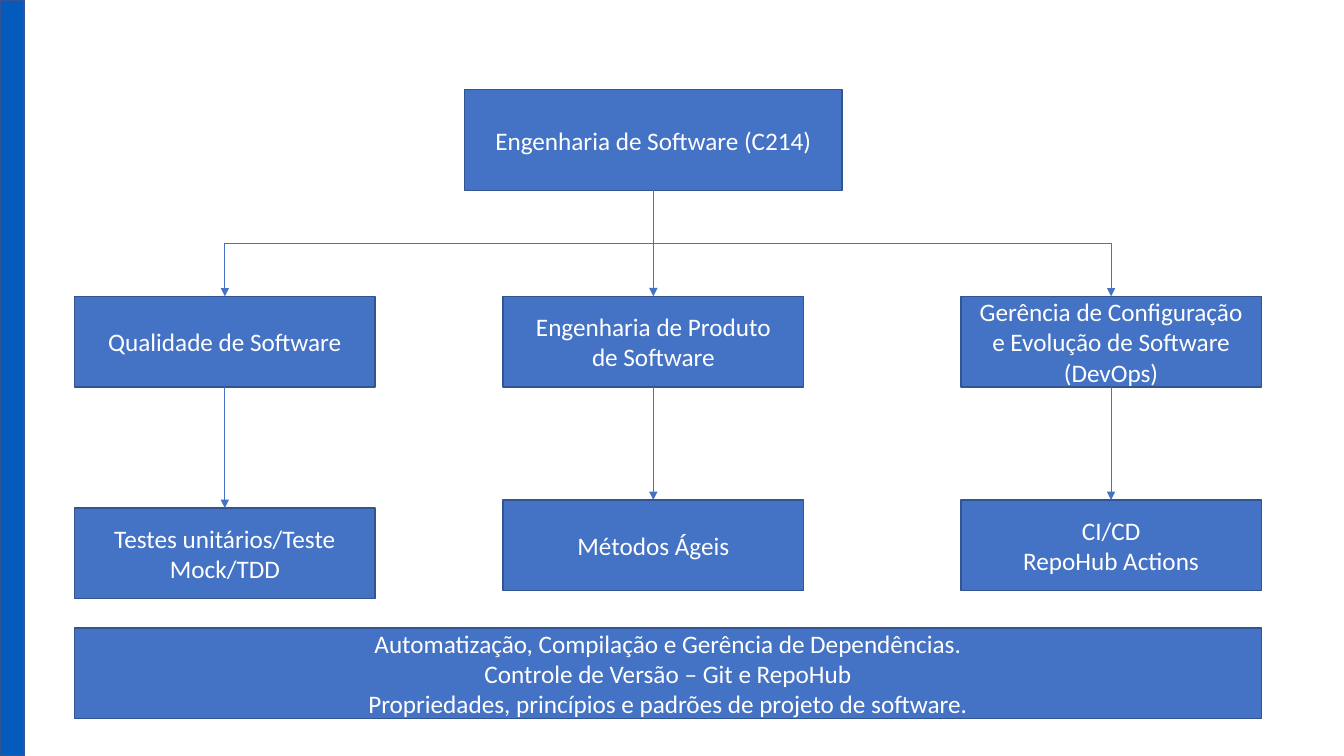
from lxml import etree
from pptx import Presentation
from pptx.dml.color import RGBColor
from pptx.enum.shapes import MSO_CONNECTOR as Link, MSO_SHAPE as Preset
from pptx.enum.text import MSO_ANCHOR as Anchor, PP_ALIGN as Align
from pptx.oxml.ns import qn
from pptx.util import Inches, Pt

BAR_BLUE = RGBColor(0x04, 0x5A, 0xBD)
BOX_BLUE = RGBColor(0x44, 0x72, 0xC4)
EDGE_BLUE = RGBColor(0x32, 0x54, 0x91)
WHITE = RGBColor(0xFF, 0xFF, 0xFF)

ROOT_BOX = (4.61, 0.89, 3.74, 1)
BAND_BOX = (0.74, 6.23, 11.77, 0.9)
AREA_WIDTH, AREA_HEIGHT, AREA_TOP = 2.98, 0.9, 2.94

# Left edge, area lines, top of the topic box, topic lines
BRANCHES = [
    (0.74, ["Qualidade de Software"],
     5.04, ["Testes unitários/Teste Mock/TDD"]),
    (4.99, ["Engenharia de Produto", "de Software"],
     4.96, ["Métodos Ágeis"]),
    (9.53, ["Gerência de Configuração e Evolução de Software (DevOps)"],
     4.96, ["CI/CD", "RepoHub Actions"]),
]
BAND_LINES = [
    "Automatização, Compilação e Gerência de Dependências.",
    "Controle de Versão – Git e RepoHub",
    "Propriedades, princípios e padrões de projeto de software.",
]


def add_box(page, box, fill, lines=()):
    """Outlined rectangle with centred lines of text."""
    shape = page.shapes.add_shape(Preset.RECTANGLE, *map(Inches, box))
    shape.shadow.inherit = False
    shape.fill.solid()
    shape.fill.fore_color.rgb = fill
    shape.line.color.rgb = EDGE_BLUE
    shape.line.width = Pt(1)
    frame = shape.text_frame
    frame.word_wrap = True
    frame.vertical_anchor = Anchor.MIDDLE
    para = frame.paragraphs[0]
    para.alignment = Align.CENTER
    for index, line in enumerate(lines):
        if index:
            para.add_line_break()
        span = para.add_run()
        span.text = line
        span.font.name = "Calibri"
        span.font.size = Pt(18)
        span.font.color.rgb = WHITE


def add_arrow(page, kind, start_x, start_y, end_x, end_y):
    """Thin connector with a triangle at its end."""
    ends = map(Inches, (start_x, start_y, end_x, end_y))
    arrow = page.shapes.add_connector(kind, *ends)
    arrow.line.color.rgb = BOX_BLUE
    arrow.line.width = Pt(0.5)
    head = etree.SubElement(arrow.line._get_or_add_ln(), qn("a:tailEnd"))
    head.set("type", "triangle")
    etree.SubElement(arrow._element.spPr, qn("a:effectLst"))
    return arrow


def add_elbow(page, start_x, start_y, end_x, end_y):
    """Elbow that leaves downwards: a sideways elbow turned about its centre."""
    middle_x, middle_y = (start_x + end_x) / 2, (start_y + end_y) / 2
    half_drop, half_span = (end_y - start_y) / 2, abs(end_x - start_x) / 2
    side = 1 if end_x > start_x else -1
    arrow = add_arrow(page, Link.ELBOW,
                      middle_x + side * half_drop, middle_y - half_span,
                      middle_x - side * half_drop, middle_y + half_span)
    degrees = 270 if side > 0 else 90
    arrow._element.spPr.find(qn("a:xfrm")).set("rot", str(degrees * 60000))


def add_branch(page, left, area, topic_top, topic):
    """Area box, topic box below it, and the arrows leading to both."""
    add_box(page, (left, AREA_TOP, AREA_WIDTH, AREA_HEIGHT), BOX_BLUE, area)
    add_box(page, (left, topic_top, AREA_WIDTH, AREA_HEIGHT), BOX_BLUE, topic)
    root_left, root_top, root_width, root_height = ROOT_BOX
    root_x, root_bottom = root_left + root_width / 2, root_top + root_height
    center = left + AREA_WIDTH / 2
    if abs(center - root_x) < 0.05:
        add_arrow(page, Link.STRAIGHT, center, root_bottom, center, AREA_TOP)
    else:
        add_elbow(page, root_x, root_bottom, center, AREA_TOP)
    add_arrow(page, Link.STRAIGHT,
              center, AREA_TOP + AREA_HEIGHT, center, topic_top)


def build_course_map(page):
    # Side bar
    add_box(page, (0, 0, 0.24, 7.5), BAR_BLUE)
    # Course at the root
    add_box(page, ROOT_BOX, BOX_BLUE, ["Engenharia de Software (C214)"])
    # Three branches
    for branch in BRANCHES:
        add_branch(page, *branch)
    # Shared topics
    add_box(page, BAND_BOX, BOX_BLUE, BAND_LINES)


def main():
    deck = Presentation()
    deck.slide_width, deck.slide_height = Inches(13.33), Inches(7.5)
    build_course_map(deck.slides.add_slide(deck.slide_layouts[6]))
    deck.save("out.pptx")


if __name__ == "__main__":
    main()
